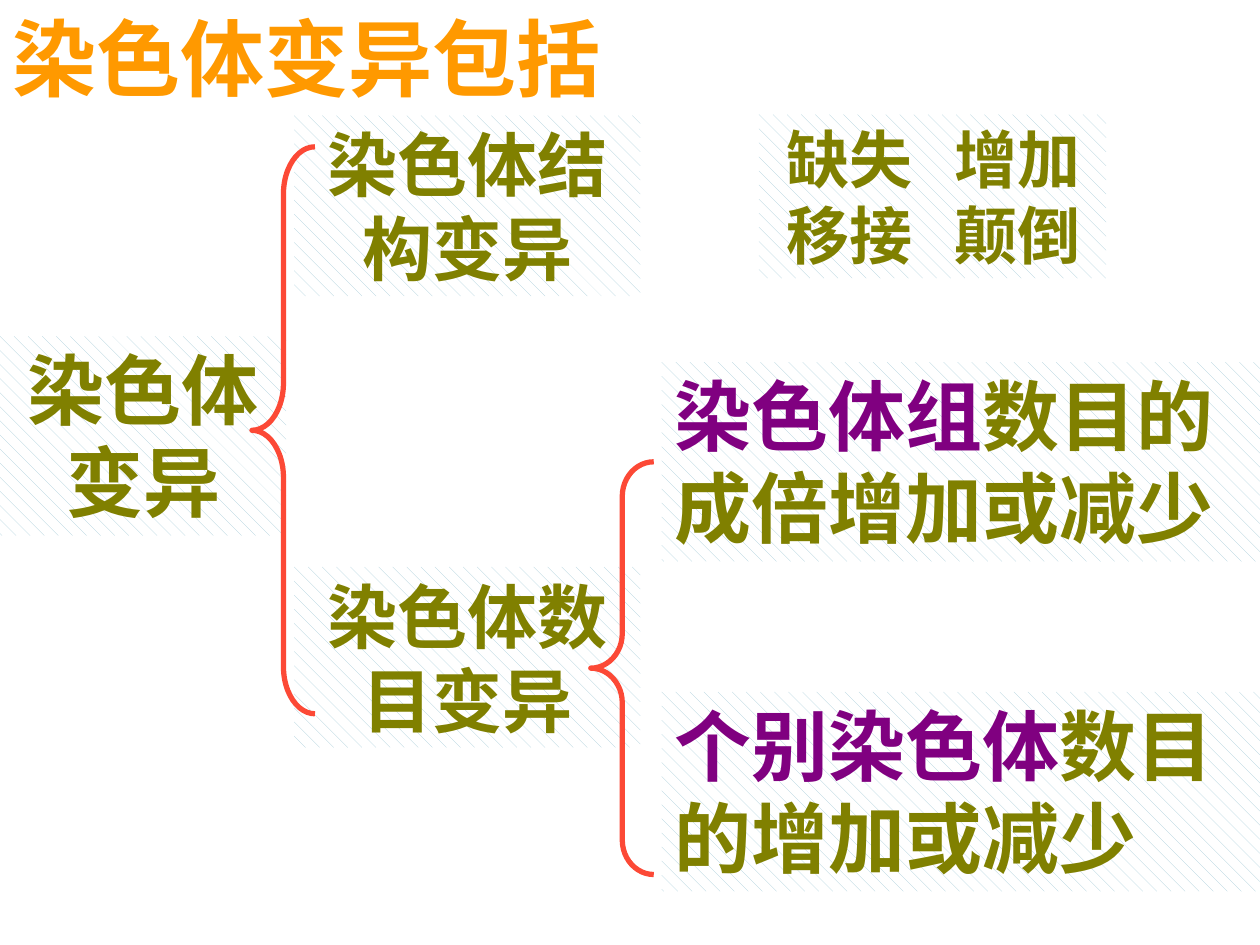
"""Build a slide that classifies chromosome variation with braces."""
from lxml import etree
from pptx import Presentation
from pptx.dml.color import RGBColor
from pptx.enum.dml import MSO_PATTERN
from pptx.enum.shapes import MSO_SHAPE
from pptx.enum.text import MSO_ANCHOR, MSO_AUTO_SIZE, PP_ALIGN
from pptx.oxml.ns import qn
from pptx.util import Cm, Pt

RECTANGLE, LEFT_BRACE = MSO_SHAPE.RECTANGLE, MSO_SHAPE.LEFT_BRACE
SHINGLE = MSO_PATTERN.SHINGLE
TOP, NO_FIT = MSO_ANCHOR.TOP, MSO_AUTO_SIZE.NONE
LEFT, CENTER = PP_ALIGN.LEFT, PP_ALIGN.CENTER
FONT = "Times New Roman"
TITLE_LAYOUT = 5
COLORS = {
    "title": "FF9900",
    "text": "808000",
    "key": "800080",
    "brace": "FC4936",
    "hatch": "A7CCD9",
    "paper": "FFFFFF",
}

TITLE = "染色体变异包括"
TITLE_FRAME = (0, 0, 12.55, 2.31)
# Each box: frame in cm, size in points, alignment, paragraphs of (text, colour) runs.
BOXES = [
    ((0, 6.78, 5.77, 4.02), 44, CENTER, [[("染色体变异", "text")]]),
    ((5.93, 2.33, 6.98, 3.64), 40, CENTER, [[("染色体结构变异", "text")]]),
    ((5.93, 11.43, 6.98, 3.64), 40, CENTER, [[("染色体数目变异", "text")]]),
    ((13.34, 7.3, 12.06, 4.02), 44, LEFT,
     [[("染色体组", "key"), ("数目的成倍增加或减少", "text")]]),
    ((13.34, 13.95, 12.06, 4.02), 44, LEFT,
     [[("个别染色体", "key"), ("数目的增加或减少", "text")]]),
]
STRUCTURE_FRAME = (15.3, 2.31, 7, 3.3)
STRUCTURE_CHANGES = [("缺失", "增加"), ("移接", "颠倒")]
STRUCTURE_INDENT, STRUCTURE_TAB = 0.55, 3.4
BRACES = [((5.08, 2.96, 1.27, 11.43), 0.75), ((11.91, 9.31, 1.27, 8.32), 0.55)]


def color(name):
    return RGBColor.from_string(COLORS[name])


def set_font(font, size):
    font.name, font.size, font.bold = FONT, Pt(size), True


def add_shape(slide, kind, frame):
    shape = slide.shapes.add_shape(kind, *map(Cm, frame))
    shape.shadow.inherit = False
    return shape


def add_box(slide, frame, size, alignment, paragraphs, tab=None):
    shape = add_shape(slide, RECTANGLE, frame)
    shape.fill.patterned()
    shape.fill.pattern = SHINGLE
    shape.fill.fore_color.rgb = color("hatch")
    shape.fill.back_color.rgb = color("paper")
    shape.line.fill.background()
    text_frame = shape.text_frame
    text_frame.word_wrap = True
    text_frame.vertical_anchor = TOP
    for index, runs in enumerate(paragraphs):
        paragraph = text_frame.add_paragraph() if index else text_frame.paragraphs[0]
        paragraph.alignment = alignment
        if tab:
            properties = paragraph._p.get_or_add_pPr()
            tabs = etree.SubElement(properties, qn("a:tabLst"))
            etree.SubElement(tabs, qn("a:tab"), pos=str(Cm(tab)), algn="l")
        set_font(paragraph.font, size)
        for text, name in runs:
            run = paragraph.add_run()
            run.text = text
            run.font.color.rgb = color(name)
    return shape


def add_brace(slide, frame, curve):
    shape = add_shape(slide, LEFT_BRACE, frame)
    shape.adjustments[0] = curve
    shape.fill.background()
    shape.line.color.rgb = color("brace")
    shape.line.width = Pt(3)


def add_title(slide):
    title = slide.shapes.title
    title.left, title.top, title.width, title.height = map(Cm, TITLE_FRAME)
    text_frame = title.text_frame
    text_frame.text = TITLE
    text_frame.word_wrap = False
    text_frame.auto_size = NO_FIT
    text_frame.vertical_anchor = TOP
    paragraph = text_frame.paragraphs[0]
    paragraph.alignment = LEFT
    set_font(paragraph.font, 48)
    paragraph.font.color.rgb = color("title")


def main():
    presentation = Presentation()
    presentation.slide_width, presentation.slide_height = Cm(25.4), Cm(19.05)
    slide = presentation.slides.add_slide(presentation.slide_layouts[TITLE_LAYOUT])
    add_title(slide)
    for box in BOXES:
        add_box(slide, *box)
    for brace in BRACES:
        add_brace(slide, *brace)
    rows = [[("\t".join(pair), "text")] for pair in STRUCTURE_CHANGES]
    structure = add_box(slide, STRUCTURE_FRAME, 36, LEFT, rows, STRUCTURE_TAB)
    structure.text_frame.margin_left = Cm(STRUCTURE_INDENT)
    presentation.save("out.pptx")


if __name__ == "__main__":
    main()
